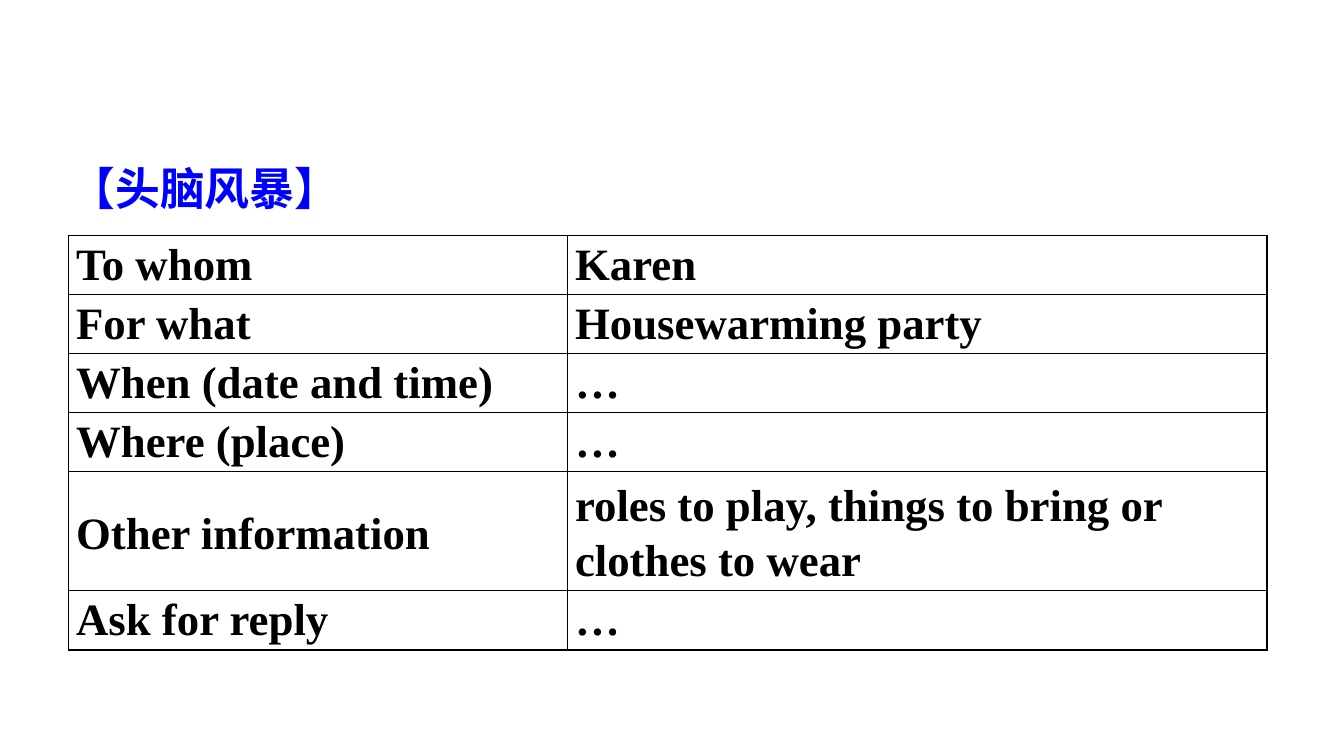
from dataclasses import dataclass

from lxml.etree import SubElement
from pptx import Presentation
from pptx.dml.color import RGBColor
from pptx.enum.text import MSO_ANCHOR, MSO_AUTO_SIZE
from pptx.oxml.ns import qn
from pptx.slide import Slide
from pptx.table import _Cell
from pptx.text.text import _Paragraph
from pptx.util import Pt


@dataclass(frozen=True)
class Theme:
    heading_color: str = "0000FF"
    text_color: str = "000000"
    border_color: str = "000000"
    heading_font: str = "Noto Sans CJK SC"
    table_font: str = "Times New Roman"
    size: float = 32
    border: float = 1
    line_spacing: float = 1.1


@dataclass(frozen=True)
class PlanRow:
    label: str
    detail: str
    height: float = 42.15
    anchor: MSO_ANCHOR = MSO_ANCHOR.TOP


THEME = Theme()
COLUMN_WIDTHS = (356.4, 499.7)
PLAN = (
    PlanRow("To whom", "Karen"),
    PlanRow("For what", "Housewarming party"),
    PlanRow("When (date and time)", "…"),
    PlanRow("Where (place)", "…"),
    PlanRow(
        "Other information",
        "roles to play, things to bring or clothes to wear",
        85,
        MSO_ANCHOR.MIDDLE,
    ),
    PlanRow("Ask for reply", "…"),
)


def format_text(p: _Paragraph, font: str, color: str) -> None:
    for r in p.runs:
        r.font.name = font
        r.font.size = Pt(THEME.size)
        r.font.bold = True
        r.font.color.rgb = RGBColor.from_string(color)
        SubElement(r.font._element, qn("a:ea")).set("typeface", font)


def add_borders(cell: _Cell) -> None:
    tcPr = cell._tc.get_or_add_tcPr()
    for side in ("a:lnL", "a:lnR", "a:lnT", "a:lnB"):
        ln = SubElement(tcPr, qn(side), w=str(Pt(THEME.border)))
        fill = SubElement(ln, qn("a:solidFill"))
        SubElement(fill, qn("a:srgbClr"), val=THEME.border_color)


def fill_cell(cell: _Cell, text: str, anchor: MSO_ANCHOR) -> None:
    add_borders(cell)
    cell.fill.background()
    cell.margin_left = cell.margin_right = Pt(5.4)
    cell.margin_top = cell.margin_bottom = Pt(0)
    cell.vertical_anchor = anchor
    p = cell.text_frame.paragraphs[0]
    p.text = text
    p.line_spacing = THEME.line_spacing
    format_text(p, THEME.table_font, THEME.text_color)


def add_heading(s: Slide, text: str) -> None:
    sp = s.shapes.add_textbox(Pt(43.2), Pt(111.6), Pt(209.5), Pt(46.1))
    tf = sp.text_frame
    tf.text = text
    tf.word_wrap = False
    tf.auto_size = MSO_AUTO_SIZE.SHAPE_TO_FIT_TEXT
    format_text(tf.paragraphs[0], THEME.heading_font, THEME.heading_color)


def add_plan(s: Slide, rows: tuple[PlanRow, ...]) -> None:
    width = sum(COLUMN_WIDTHS)
    height = sum(row.height for row in rows)
    table = s.shapes.add_table(
        len(rows), len(COLUMN_WIDTHS), Pt(48.96), Pt(168), Pt(width), Pt(height)
    ).table
    table.first_row = False
    table.horz_banding = False
    for column, column_width in zip(table.columns, COLUMN_WIDTHS):
        column.width = Pt(column_width)
    for i, row in enumerate(rows):
        table.rows[i].height = Pt(row.height)
        for j, text in enumerate((row.label, row.detail)):
            fill_cell(table.cell(i, j), text, row.anchor)


def main() -> None:
    prs = Presentation()
    prs.slide_width, prs.slide_height = Pt(960), Pt(540)
    s = prs.slides.add_slide(prs.slide_layouts[6])
    add_heading(s, "【头脑风暴】")
    add_plan(s, PLAN)
    prs.save("out.pptx")


if __name__ == "__main__":
    main()
